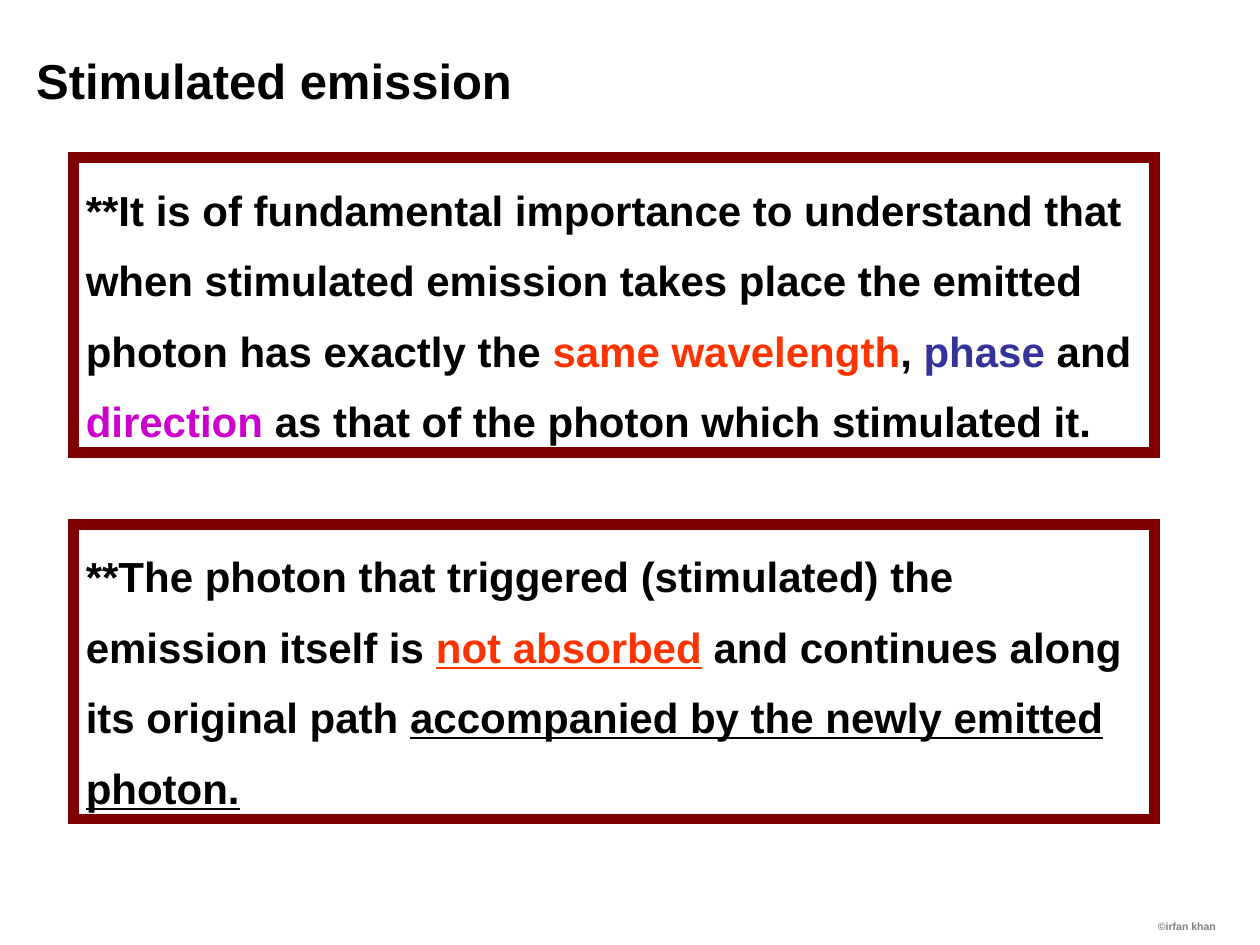
from lxml import etree
from pptx import Presentation
from pptx.dml.color import RGBColor
from pptx.enum.shapes import MSO_SHAPE as Shape
from pptx.enum.text import MSO_ANCHOR as Anchor, MSO_AUTO_SIZE as AutoSize, PP_ALIGN as Align
from pptx.oxml.ns import qn
from pptx.util import Cm, Pt

BLACK, RED, BLUE, MAGENTA = "000000", "FF3300", "333399", "CC00CC"
MAROON, GRAY = "800000", "808080"


def color(hex_code):
    return RGBColor.from_string(hex_code)


def add_span(para, text, size, hex_code=BLACK, underline=False):
    span = para.add_run()
    span.text = text
    font = span.font
    font.name, font.size, font.bold = "Arial", Pt(size), True
    font.underline = underline
    font.color.rgb = color(hex_code)


deck = Presentation()
deck.slide_width, deck.slide_height = Cm(25.4), Cm(19.05)
page = deck.slides.add_slide(deck.slide_layouts[6])

# Title
title = page.shapes.add_textbox(Cm(0.48), Cm(0.89), Cm(10.5), Cm(1.45))
title.text_frame.word_wrap = True
add_span(title.text_frame.paragraphs[0], "Stimulated emission", 28)

# Framed statements: top edge, then (text, colour, underline) spans
statements = [
    (3.18, [
        ("**It is of fundamental importance to understand that when stimulated "
         "emission takes place the emitted photon has exactly the ", BLACK, False),
        ("same wavelength", RED, False),
        (", ", BLACK, False),
        ("phase", BLUE, False),
        (" and ", BLACK, False),
        ("direction", MAGENTA, False),
        (" as that of the photon which stimulated it.", BLACK, False),
    ]),
    (10.57, [
        ("**The photon that triggered (stimulated) the emission itself is ", BLACK, False),
        ("not absorbed", RED, True),
        (" and continues along its original path ", BLACK, False),
        ("accompanied by the newly emitted photon.", BLACK, True),
    ]),
]
for top, spans in statements:
    box = page.shapes.add_shape(Shape.RECTANGLE, Cm(1.48), Cm(top), Cm(21.8), Cm(5.94))
    box.shadow.inherit = False
    box.fill.background()
    box.line.color.rgb = color(MAROON)
    box.line.width = Pt(6)
    outline = box.element.spPr.find(qn("a:ln"))
    etree.SubElement(outline, qn("a:miter"), lim="800000")  # square corners
    frame = box.text_frame
    frame.word_wrap = True
    frame.auto_size = AutoSize.SHAPE_TO_FIT_TEXT
    frame.vertical_anchor = Anchor.TOP
    para = frame.paragraphs[0]
    para.alignment = Align.LEFT
    para.line_spacing = 1.4
    for text, hex_code, underline in spans:
        add_span(para, text, 24, hex_code, underline)

# Copyright line
footer = page.shapes.add_textbox(Cm(16.71), Cm(17.15), Cm(8.05), Cm(1.77))
footer.text_frame.word_wrap = True
footer.text_frame.vertical_anchor = Anchor.BOTTOM
para = footer.text_frame.paragraphs[0]
para.alignment = Align.RIGHT
add_span(para, "©irfan khan", 6, GRAY)

deck.save("out.pptx")
